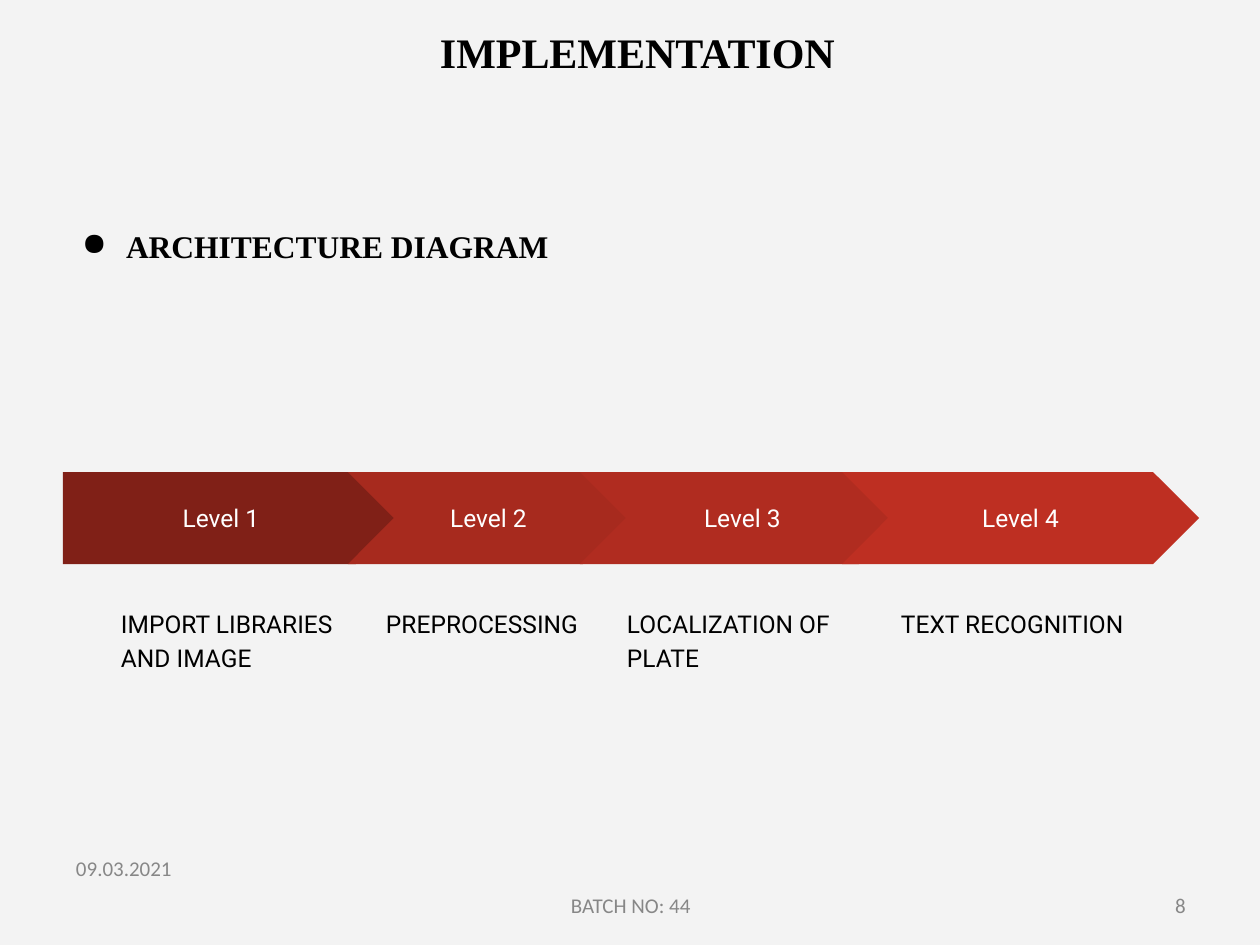
import pptx
import pptx.util
import pptx.dml.color
import pptx.enum.shapes
import pptx.enum.text
import pptx.oxml
import pptx.oxml.ns

EMU_PER_PX = 914400 / 126
SHAPE = pptx.enum.shapes.MSO_SHAPE
ALIGN = pptx.enum.text.PP_ALIGN
ANCHOR = pptx.enum.text.MSO_ANCHOR

TITLE = ("IMPLEMENTATION", (63, 26, 1149, 95))
HEADING = ("ARCHITECTURE DIAGRAM", (63, 227, 1087, 615))
STAGES = [
    ("Level 1", "IMPORT LIBRARIES AND IMAGE", "802017", (63, 339), (108, 248)),
    ("Level 2", "PREPROCESSING", "A72A1E", (348, 281), (373, 220)),
    ("Level 3", "LOCALIZATION OF PLATE", "B02C20", (580, 325), (614, 256)),
    ("Level 4", "TEXT RECOGNITION", "BE2F22", (842, 357), (888, 281)),
]
FOOTERS = [
    ("8", (1171, 892, 18, 24), 0, 4),
    ("09.03.2021", (63, 842, 181, 50), 13, 0),
    ("BATCH NO: 44", (570, 892, 156, 24), 0, 1),
]
ARROW_TOP, ARROW_HEIGHT = 472, 92
CAPTION_TOP, CAPTION_HEIGHT = 592, 324
PADDING = 13


def px(value):
    return pptx.util.Emu(round(value * EMU_PER_PX))


def color(hex_string):
    return pptx.dml.color.RGBColor.from_string(hex_string)


def write(shape, text, font, size, hex_color, bold=False, align=ALIGN.LEFT,
          anchor=ANCHOR.TOP, padding=0, spacing=None):
    frame = shape.text_frame
    frame.text = text
    frame.word_wrap = True
    frame.auto_size = pptx.enum.text.MSO_AUTO_SIZE.NONE
    frame.vertical_anchor = anchor
    frame.margin_left = frame.margin_right = px(padding)
    frame.margin_top = frame.margin_bottom = px(padding)
    paragraph = frame.paragraphs[0]
    paragraph.alignment = align
    if spacing:
        paragraph.line_spacing = spacing
    for run in paragraph.runs:
        run.font.name = font
        run.font.size = pptx.util.Pt(size)
        run.font.bold = bold
        run.font.color.rgb = color(hex_color)
    return paragraph


def add_text(shapes, box, text, *style, **options):
    textbox = shapes.add_textbox(*map(px, box))
    return write(textbox, text, *style, **options)


def indent(paragraph, left, first=0):
    properties = paragraph._p.get_or_add_pPr()
    properties.set("marL", str(px(left)))
    properties.set("indent", str(px(first)))
    return properties


def add_bullet(paragraph, character, hex_color):
    properties = indent(paragraph, 63, -44)
    namespace = pptx.oxml.ns.nsdecls("a")
    for xml in (
        f'<a:buClr {namespace}><a:srgbClr val="{hex_color}"/></a:buClr>',
        f'<a:buChar {namespace} char="{character}"/>',
    ):
        properties.append(pptx.oxml.parse_xml(xml))


def add_stage(slide, kind, level, caption, fill, arrow_span, caption_span):
    group = slide.shapes.add_group_shape()
    left, width = arrow_span
    arrow = group.shapes.add_shape(
        kind, *map(px, (left, ARROW_TOP, width, ARROW_HEIGHT)))
    arrow.adjustments[0] = 0.5
    arrow.shadow.inherit = False
    arrow.fill.solid()
    arrow.fill.fore_color.rgb = color(fill)
    arrow.line.fill.background()
    write(arrow, level, "Roboto", 14, "FFFFFF", align=ALIGN.CENTER,
          anchor=ANCHOR.MIDDLE, padding=PADDING)
    left, width = caption_span
    add_text(group.shapes, (left, CAPTION_TOP, width, CAPTION_HEIGHT), caption,
             "Roboto", 14, "000000", padding=PADDING, spacing=1.15)


def main():
    presentation = pptx.Presentation()
    presentation.slide_width, presentation.slide_height = px(1260), px(945)
    slide = presentation.slides.add_slide(presentation.slide_layouts[5])
    slide.background.fill.solid()
    slide.background.fill.fore_color.rgb = color("F3F3F3")

    text, box = TITLE
    title = slide.shapes.title
    title.left, title.top, title.width, title.height = map(px, box)
    write(title, text, "Times New Roman", 24, "000000", bold=True, align=ALIGN.CENTER)

    text, box = HEADING
    heading = add_text(slide.shapes, box, text, "Times New Roman", 18, "000000", bold=True)
    add_bullet(heading, "●", "000000")

    for text, box, padding, left in FOOTERS:
        footer = add_text(slide.shapes, box, text, "Calibri", 12, "878787",
                          padding=padding, spacing=1.03)
        indent(footer, left)

    for index, stage in enumerate(STAGES):
        add_stage(slide, SHAPE.CHEVRON if index else SHAPE.PENTAGON, *stage)

    presentation.save("out.pptx")


if __name__ == "__main__":
    main()
